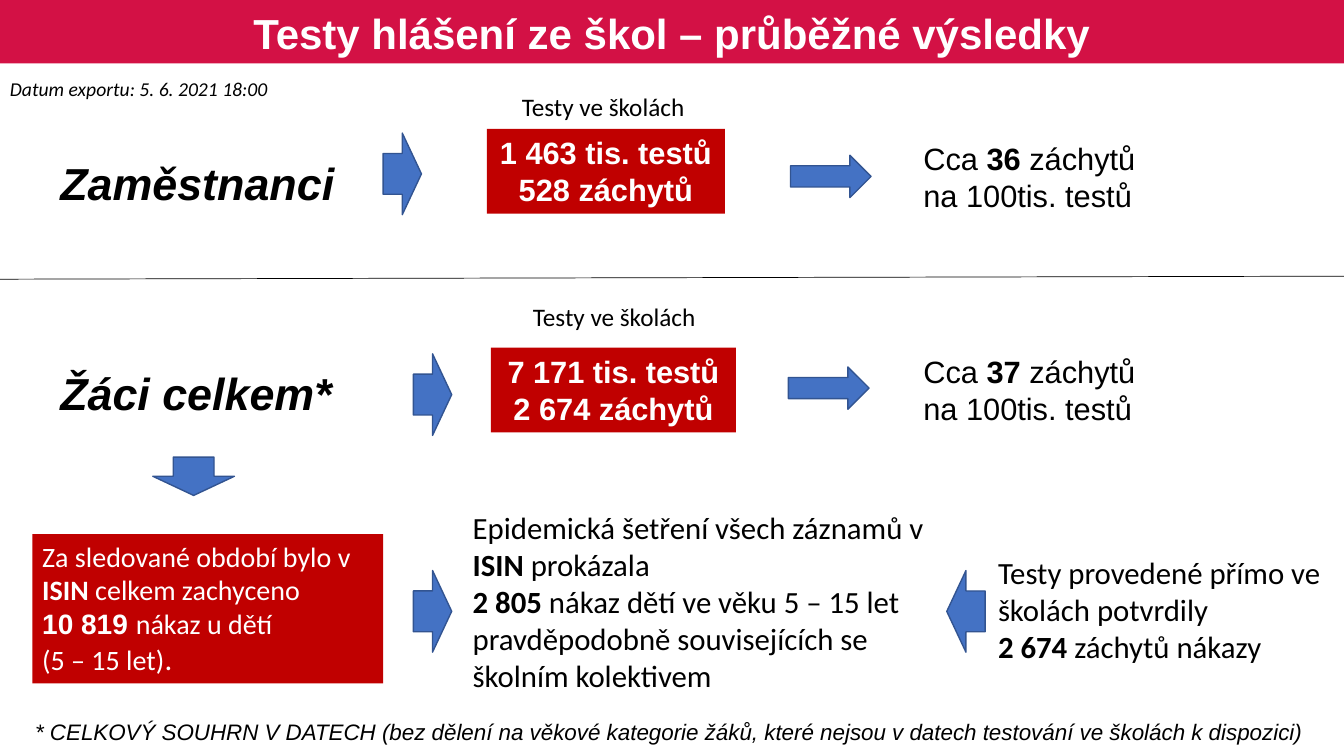
from dataclasses import dataclass

from lxml.etree import SubElement
from pptx import Presentation
from pptx.dml.color import RGBColor
from pptx.enum.shapes import MSO_CONNECTOR, MSO_SHAPE
from pptx.enum.text import MSO_ANCHOR, PP_ALIGN
from pptx.oxml.ns import qn
from pptx.util import Inches, Pt


@dataclass(frozen=True)
class Theme:
    band: str = "D31145"
    red: str = "C00000"
    blue: str = "4472C4"
    blue_line: str = "325491"
    white: str = "FFFFFF"
    black: str = "000000"
    heading: str = "Arial"
    body: str = "Calibri"
    title: int = 30
    group: int = 32
    figure: int = 22
    found: int = 20
    label: int = 18
    footnote: int = 16
    date: int = 14


THEME = Theme()


def rgb(value):
    return RGBColor.from_string(value)


def style(font, size, name, color, bold=False, italic=False):
    font.size, font.name = Pt(size), name
    font.color.rgb = rgb(color)
    font.bold, font.italic = bold, italic


def place(shape, left, top, width, height):
    shape.left, shape.top = Inches(left), Inches(top)
    shape.width, shape.height = Inches(width), Inches(height)


def add_block(s, kind, box, fill, line=None):
    shape = s.shapes.add_shape(kind, *map(Inches, box))
    shape.shadow.inherit = False
    shape.fill.solid()
    shape.fill.fore_color.rgb = rgb(fill)
    if line:
        shape.line.color.rgb = rgb(line)
        shape.line.width = Pt(1)
    else:
        shape.line.fill.background()
    return shape


def add_text(s, box, lines, size, name=THEME.body, color=THEME.black, fill=None,
             align=PP_ALIGN.LEFT, bold=False, italic=False, wrap=True):
    """Add a text box; **marks** set bold words and a newline breaks the line."""
    if fill:
        shape = add_block(s, MSO_SHAPE.RECTANGLE, box, fill)
    else:
        shape = s.shapes.add_textbox(*map(Inches, box))
    tf = shape.text_frame
    tf.word_wrap = wrap
    tf.vertical_anchor = MSO_ANCHOR.TOP
    for i, line in enumerate(lines):
        p = tf.add_paragraph() if i else tf.paragraphs[0]
        p.alignment = align
        for j, part in enumerate(line.split("**")):
            for k, text in enumerate(part.split("\n")):
                if k:
                    p.add_line_break()
                if text:
                    r = p.add_run()
                    r.text = text
                    style(r.font, size, name, color, bold or j % 2 == 1, italic)
    return tf


def add_arrow(s, left, top, width=0.38, height=0.81, rotation=0):
    arrow = add_block(s, MSO_SHAPE.RIGHT_ARROW, (left, top, width, height),
                      THEME.blue, THEME.blue_line)
    arrow.rotation = rotation


def add_title(s, text):
    title = s.shapes.title
    place(title, 0.18, 0.04, 12.97, 0.63)
    tf = title.text_frame
    tf.text = text
    tf.vertical_anchor = MSO_ANCHOR.MIDDLE
    p = tf.paragraphs[0]
    p.alignment, p.line_spacing = PP_ALIGN.CENTER, 0.9
    style(p.runs[0].font, THEME.title, THEME.heading, THEME.white, bold=True)
    band = add_block(s, MSO_SHAPE.RECTANGLE, (0, 0, 13.33, 0.63), THEME.band)
    title.element.addprevious(band.element)


def add_divider(s):
    line = s.shapes.add_connector(MSO_CONNECTOR.STRAIGHT, Inches(0), Inches(2.77),
                                  Inches(13.33), Inches(2.74))
    line.line.color.rgb = rgb(THEME.black)
    line.line.width = Pt(0.5)
    SubElement(line.element.spPr, qn("a:effectLst"))


def add_group(s, name, name_top, label_at, tests, tests_box, rate, rate_top,
              first_arrow, second_arrow):
    """Add one row: group name, test counts and rate, with arrows between."""
    add_text(s, (0.5, name_top, 3.03, 0.64), [name], THEME.group, THEME.heading,
             bold=True, italic=True)
    add_text(s, (*label_at, 4.04, 0.4), ["Testy ve školách "], THEME.label,
             align=PP_ALIGN.CENTER)
    add_text(s, tests_box, tests, THEME.figure, THEME.heading, THEME.white, THEME.red,
             PP_ALIGN.CENTER, bold=True)
    add_text(s, (9.06, rate_top, 2.71, 0.84), [f"Cca **{rate}** záchytů na 100tis. testů"],
             THEME.figure, THEME.heading, fill=THEME.white)
    add_arrow(s, *first_arrow)
    add_arrow(s, *second_arrow, 0.8, 0.42)


def add_findings(s):
    tf = add_text(s, (0.32, 5.3, 3.48, 1.48),
                  ["Za sledované období bylo v **ISIN** celkem zachyceno\n**10 819 **nákaz u dětí",
                   "(5 – 15 let)"],
                  THEME.found, color=THEME.white, fill=THEME.red)
    tf.paragraphs[0].runs[3].font.name = THEME.heading
    r = tf.paragraphs[1].add_run()
    r.text = "."
    style(r.font, THEME.figure, THEME.body, THEME.white)

    add_text(s, (9.8, 5.44, 3.51, 1.21),
             ["Testy provedené přímo ve školách potvrdily", "**2 674 **záchytů nákazy"],
             THEME.figure, fill=THEME.white)
    add_text(s, (4.59, 5, 4.74, 1.95),
             ["Epidemická šetření všech záznamů v **ISIN** prokázala",
              "**2 805 **nákaz dětí ve věku 5 – 15 let pravděpodobně souvisejících "
              "se školním kolektivem"],
             THEME.figure, fill=THEME.white)
    add_arrow(s, 1.73, 4.32, rotation=90)
    add_arrow(s, 4.1, 5.66)
    add_arrow(s, 9.39, 5.66, rotation=180)


def main():
    prs = Presentation()
    prs.slide_width, prs.slide_height = Inches(13.33), Inches(7.5)
    s = prs.slides.add_slide(prs.slide_layouts[5])
    add_title(s, "Testy hlášení ze škol – průběžné výsledky")
    add_text(s, (0, 0.71, 3.01, 0.34), ["Datum exportu: 5. 6. 2021 18:00"], THEME.date,
             italic=True, wrap=False)
    add_group(s, "Zaměstnanci", 1.5, (3.99, 0.86), ["1 463 tis. testů", "528 záchytů"],
              (4.83, 1.28, 2.36, 0.84), 36, 1.34, (3.8, 1.32), (7.84, 1.54))
    add_divider(s)
    add_group(s, "Žáci celkem*", 3.58, (4.1, 2.94), ["7 171 tis. testů", "2 674 záchytů"],
              (4.87, 3.45, 2.43, 0.84), 37, 3.45, (4.1, 3.51), (7.82, 3.64))
    add_findings(s)
    add_text(s, (0.25, 7.08, 13.08, 0.37),
             ["* CELKOVÝ SOUHRN V DATECH (bez dělení na věkové kategorie žáků, "
              "které nejsou v datech testování ve školách k dispozici)"],
             THEME.footnote, THEME.heading, italic=True)
    prs.save("out.pptx")


if __name__ == "__main__":
    main()
